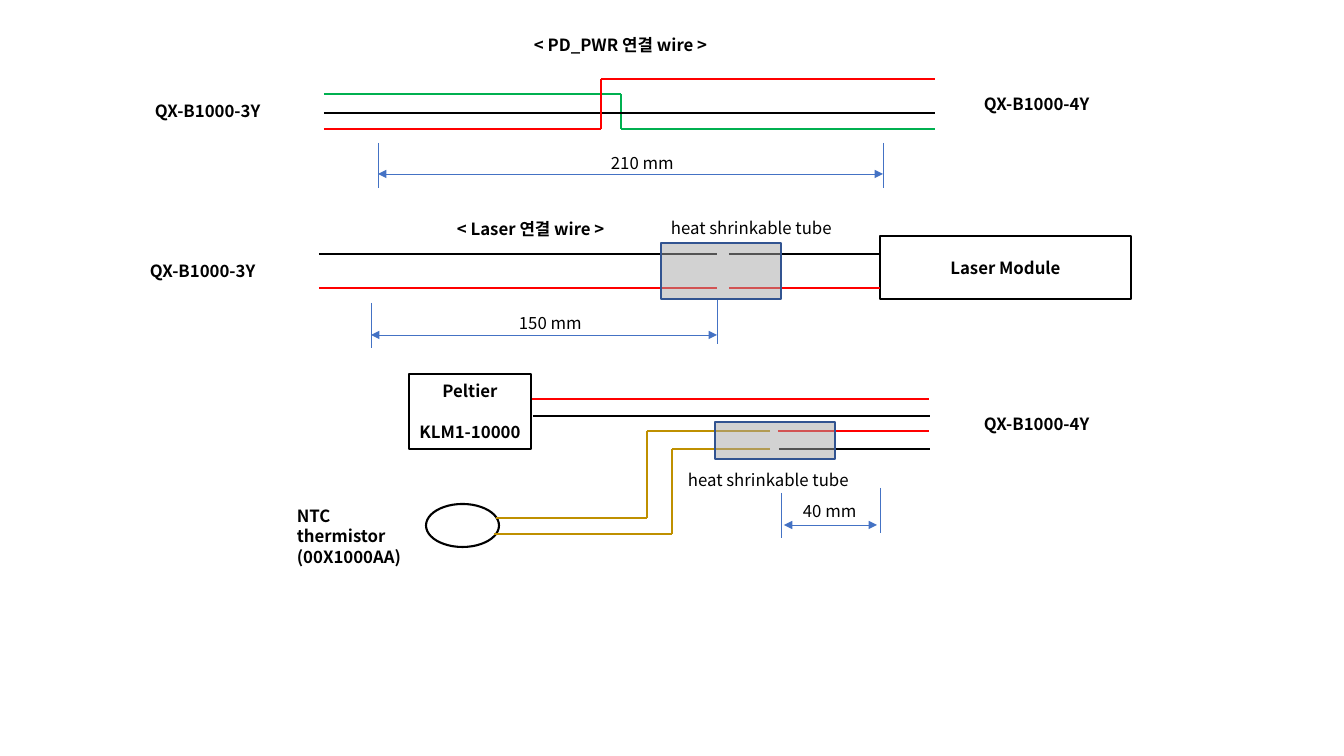
from itertools import pairwise

from lxml.etree import SubElement
from pptx import Presentation
from pptx.dml.color import RGBColor
from pptx.enum.shapes import MSO_CONNECTOR, MSO_SHAPE
from pptx.enum.text import MSO_ANCHOR, MSO_AUTO_SIZE, PP_ALIGN
from pptx.oxml.ns import qn
from pptx.util import Emu, Pt

SCALE = 914400 / 100.8
FONT = "Noto Sans CJK KR"
BLACK = RGBColor(0x00, 0x00, 0x00)
RED = RGBColor(0xFF, 0x00, 0x00)
GREEN = RGBColor(0x00, 0xB0, 0x50)
GOLD = RGBColor(0xBF, 0x90, 0x00)
BLUE = RGBColor(0x44, 0x72, 0xC4)
NAVY = RGBColor(0x32, 0x54, 0x91)
GRAY = RGBColor(0xA6, 0xA6, 0xA6)
PLUG_3 = "QX-B1000-3Y"
PLUG_4 = "QX-B1000-4Y"


def px(*nums):
    return [Emu(round(n * SCALE)) for n in nums]


def style(item, **values):
    for name, value in values.items():
        setattr(item, name, value)


def write(frame, lines, bold, align=PP_ALIGN.LEFT, gap=0):
    for i, line in enumerate(lines):
        para = frame.paragraphs[0] if i == 0 else frame.add_paragraph()
        para.alignment = align
        if i and gap:
            para.space_before = Pt(gap)
        run = para.add_run()
        run.text = line
        style(run.font, name=FONT, size=Pt(12), bold=bold)
        run.font.color.rgb = BLACK
        SubElement(run.font._element, qn("a:ea"), typeface=FONT)


def label(slide, left, top, *lines, width=146, height=30, bold=False):
    box = slide.shapes.add_textbox(*px(left, top, width, height))
    style(box.text_frame, word_wrap=True,
          auto_size=MSO_AUTO_SIZE.SHAPE_TO_FIT_TEXT)
    write(box.text_frame, lines, bold)


def stroke(slide, start, end, color, weight, arrows=False):
    line = slide.shapes.add_connector(MSO_CONNECTOR.STRAIGHT,
                                      *px(*start, *end))
    line.line.color.rgb = color
    line.line.width = Pt(weight)
    if arrows:
        for tag in ("a:headEnd", "a:tailEnd"):
            SubElement(line.line._get_or_add_ln(), qn(tag), type="triangle")
    SubElement(line._element.spPr, qn("a:effectLst"))


def wire(slide, color, *points):
    for start, end in pairwise(points):
        stroke(slide, start, end, color, 2)


def span(slide, left, right, y, tops, gap=0):
    for x, top in zip((left, right), tops):
        stroke(slide, (x, top), (x, top + 45), BLUE, 0.5)
    stroke(slide, (left + gap, y), (right - gap, y), BLUE, 0.5, arrows=True)


def part(slide, kind, bounds, color=BLACK, weight=1):
    shape = slide.shapes.add_shape(kind, *px(*bounds))
    shape.shadow.inherit = False
    shape.fill.background()
    shape.line.color.rgb = color
    shape.line.width = Pt(weight)
    return shape


def block(slide, bounds, *lines, gap=0):
    frame = part(slide, MSO_SHAPE.RECTANGLE, bounds).text_frame
    style(frame, word_wrap=True, vertical_anchor=MSO_ANCHOR.MIDDLE)
    write(frame, lines, True, PP_ALIGN.CENTER, gap)


def tube(slide, left, top, height, text_left, text_top):
    shape = part(slide, MSO_SHAPE.RECTANGLE, (left, top, 120, height), NAVY)
    shape.fill.solid()
    shape.fill.fore_color.rgb = GRAY
    tint = shape._element.spPr.find(qn("a:solidFill"))[0]
    SubElement(tint, qn("a:alpha"), val="50000")
    label(slide, text_left, text_top, "heat shrinkable tube", width=200)


def power(slide):
    label(slide, 524, 30, "< PD_PWR 연결 wire >", width=223, bold=True)
    label(slide, 145, 96, PLUG_3, bold=True)
    label(slide, 974, 89, PLUG_4, bold=True)
    wire(slide, GREEN, (324, 94), (621, 94), (621, 129), (935, 129))
    wire(slide, BLACK, (324, 113), (935, 113))
    wire(slide, RED, (324, 129), (601, 129), (601, 79), (935, 79))
    span(slide, 378, 883, 174, (143, 143))
    label(slide, 601, 148, "210 mm")


def laser(slide):
    label(slide, 447, 214, "< Laser 연결 wire >", width=223, bold=True)
    label(slide, 140, 256, PLUG_3, bold=True)
    block(slide, (880, 236, 251, 63), "Laser Module")
    for color, y in ((BLACK, 254), (RED, 288)):
        wire(slide, color, (319, y), (717, y))
        wire(slide, color, (729, y), (880, y))
    span(slide, 371, 717, 335, (303, 299))
    label(slide, 509, 308, "150 mm")
    tube(slide, 661, 243, 56, 661, 213)


def cooler(slide):
    label(slide, 974, 409, PLUG_4, bold=True)
    block(slide, (409, 374, 122, 75), "Peltier", "KLM1-10000", gap=15)
    wire(slide, RED, (532, 399), (929, 399))
    wire(slide, BLACK, (533, 416), (930, 416))
    # Thermistor and its leads
    part(slide, MSO_SHAPE.OVAL, (426, 504, 73, 43), weight=1.5)
    label(slide, 287, 501, "NTC thermistor", "(00X1000AA)",
          width=140, height=50, bold=True)
    wire(slide, GOLD, (496, 518), (647, 518), (647, 431), (770, 431))
    wire(slide, GOLD, (494, 534), (672, 534), (672, 449), (770, 449))
    wire(slide, RED, (778, 431), (929, 431))
    wire(slide, BLACK, (779, 449), (930, 449))
    tube(slide, 715, 422, 37, 678, 465)
    span(slide, 781, 880, 525, (493, 488), gap=3)
    label(slide, 793, 496, "40 mm")


def main():
    deck = Presentation()
    deck.slide_width, deck.slide_height = px(1344, 756)
    slide = deck.slides.add_slide(deck.slide_layouts[6])
    # One wiring harness per row
    power(slide)
    laser(slide)
    cooler(slide)
    deck.save("out.pptx")


if __name__ == "__main__":
    main()
